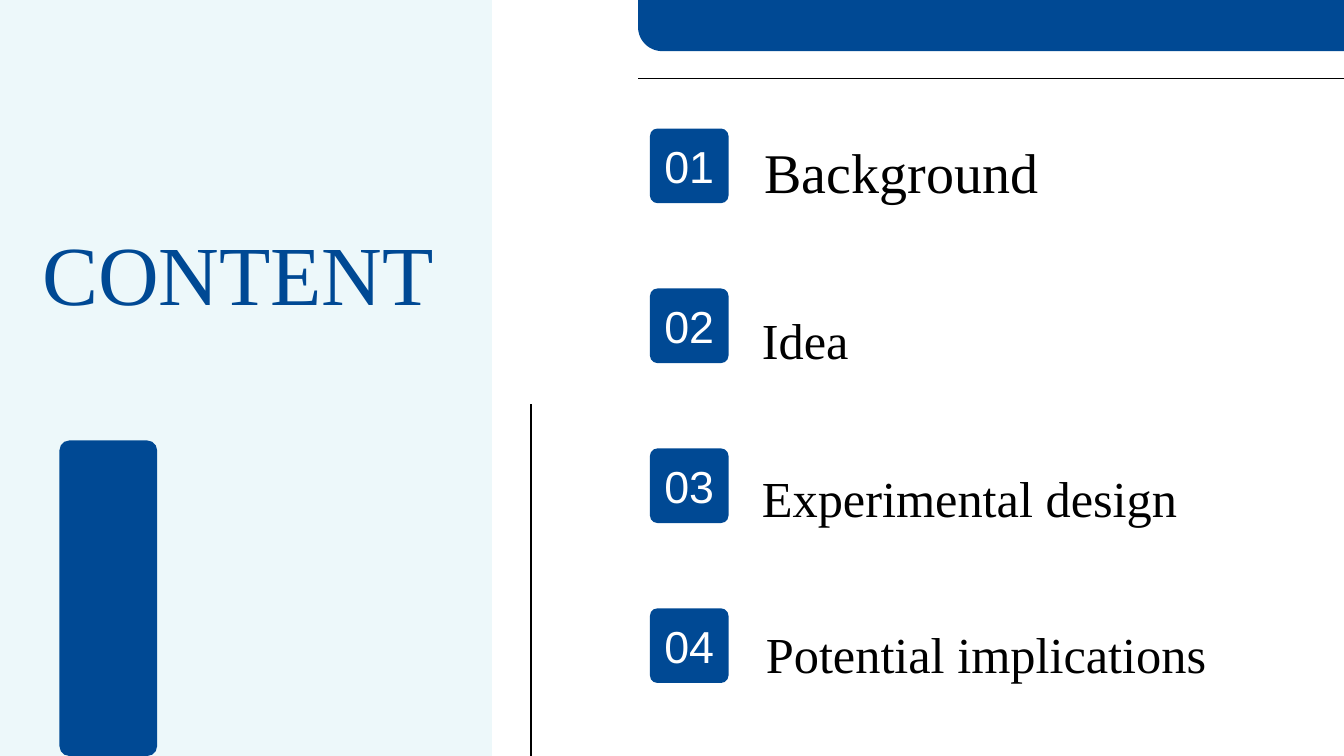
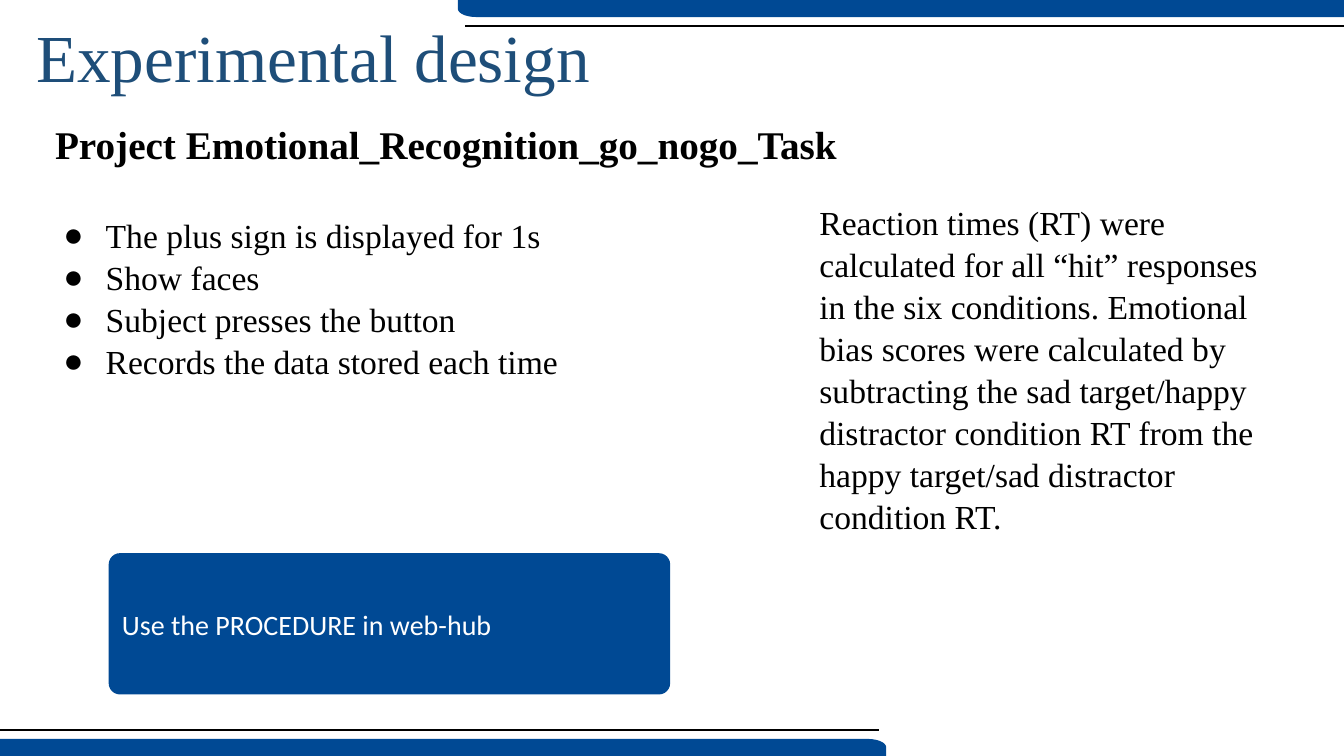
import math
from dataclasses import dataclass
from typing import Optional

from lxml import etree
from pptx import Presentation
from pptx.dml.color import RGBColor
from pptx.enum.shapes import MSO_CONNECTOR, MSO_SHAPE
from pptx.enum.text import MSO_ANCHOR, MSO_AUTO_SIZE, PP_ALIGN
from pptx.oxml.ns import qn
from pptx.util import Cm, Pt

STRAIGHT = MSO_CONNECTOR.STRAIGHT
RECTANGLE = MSO_SHAPE.RECTANGLE
ROUNDED = MSO_SHAPE.ROUNDED_RECTANGLE
TOP, MIDDLE = MSO_ANCHOR.TOP, MSO_ANCHOR.MIDDLE
LEFT, CENTER = PP_ALIGN.LEFT, PP_ALIGN.CENTER
NO_AUTOFIT = MSO_AUTO_SIZE.NONE

NAVY, TITLE_BLUE, PALE = "004994", "1E4E79", "EDF8FA"
BLACK, WHITE = "000000", "FFFFFF"
SERIF, SANS, CALLOUT_FONT = "Times New Roman", "Arial", "Calibri"

SLIDE_WIDTH, SLIDE_HEIGHT = 33.87, 19.05
BODY_SPACING = 1.04
TEXT_INDENT = 1.27
BULLET_HANG = 1.07


@dataclass(frozen=True)
class Box:
    """A rectangle in centimetres."""
    left: float
    top: float
    width: float
    height: float


@dataclass(frozen=True)
class TextStyle:
    size: float
    color: str = BLACK
    font: str = SERIF
    bold: bool = False
    align: PP_ALIGN = LEFT
    line_spacing: Optional[float] = None


@dataclass(frozen=True)
class AgendaItem:
    label: str
    box: Box
    style: TextStyle


LABEL = TextStyle(36)
SPACED_LABEL = TextStyle(36, line_spacing=1.15)
BODY = TextStyle(24, line_spacing=BODY_SPACING)

AGENDA = (
    AgendaItem("Background", Box(19.02, 3.35, 11.2, 2.16), TextStyle(40)),
    AgendaItem("Idea", Box(18.95, 7.44, 11.23, 1.8), SPACED_LABEL),
    AgendaItem("Experimental design", Box(18.95, 11.43, 11.23, 1.8), SPACED_LABEL),
    AgendaItem("Potential implications", Box(19.05, 15.57, 11.68, 1.8), LABEL),
)
FIRST_BADGE = Box(16.38, 3.24, 1.98, 1.88)
BADGE_PITCH = 4.03

STEPS = (
    "The plus sign is displayed for 1s",
    "Show faces",
    "Subject presses the button",
    "Records the data stored each time",
)
REACTION_TIMES = (
    "Reaction times (RT) were calculated for all “hit” responses in the six "
    "conditions. Emotional bias scores were calculated by subtracting the sad "
    "target/happy distractor condition RT from the happy target/sad distractor "
    "condition RT."
)


def rgb(color: str) -> RGBColor:
    return RGBColor.from_string(color)


def lengths(box: Box) -> tuple:
    return Cm(box.left), Cm(box.top), Cm(box.width), Cm(box.height)


def place(shape, box: Box) -> None:
    shape.left, shape.top, shape.width, shape.height = lengths(box)


def paint(shape, color: str) -> None:
    shape.shadow.inherit = False
    shape.fill.solid()
    shape.fill.fore_color.rgb = rgb(color)
    shape.line.fill.background()


def add_block(slide, kind, box: Box, color: str, corner: Optional[float] = None):
    shape = slide.shapes.add_shape(kind, *lengths(box))
    paint(shape, color)
    if corner is not None:
        shape.adjustments[0] = corner
    return shape


def add_band(slide, box: Box, radius_x: float, radius_y: float, rotation: float = 0) -> None:
    """Draw a band whose bottom-left corner is rounded, then turn it."""
    right, bottom = box.left + box.width, box.top + box.height
    points = [(right, box.top), (right, bottom)]
    for degrees in range(0, 91, 6):
        angle = math.radians(degrees)
        points.append((box.left + radius_x * (1 - math.sin(angle)),
                       bottom - radius_y * (1 - math.cos(angle))))
    builder = slide.shapes.build_freeform(Cm(box.left), Cm(box.top))
    builder.add_line_segments([(Cm(x), Cm(y)) for x, y in points], close=True)
    band = builder.convert_to_shape()
    paint(band, NAVY)
    band.rotation = rotation


def add_rule(slide, start: tuple, end: tuple) -> None:
    rule = slide.shapes.add_connector(STRAIGHT, *(Cm(value) for value in start + end))
    rule.line.color.rgb = rgb(BLACK)
    rule.line.width = Pt(1.25)
    etree.SubElement(rule.element.spPr, qn("a:effectLst"))


def write(shape, lines: tuple, style: TextStyle, anchor=TOP) -> None:
    frame = shape.text_frame
    frame.word_wrap = True
    frame.auto_size = NO_AUTOFIT
    frame.vertical_anchor = anchor
    for index, line in enumerate(lines):
        paragraph = frame.paragraphs[0] if index == 0 else frame.add_paragraph()
        paragraph.alignment = style.align
        paragraph.space_before = Pt(0)
        if style.line_spacing:
            paragraph.line_spacing = style.line_spacing
        run = paragraph.add_run()
        run.text = line
        run.font.name = style.font
        run.font.size = Pt(style.size)
        run.font.bold = style.bold
        run.font.color.rgb = rgb(style.color)


def add_text(slide, text: str, box: Box, style: TextStyle):
    text_box = slide.shapes.add_textbox(*lengths(box))
    write(text_box, (text,), style)
    return text_box


def set_title(slide, text: str, box: Box, style: TextStyle) -> None:
    """Fill the title and put it in front of the shapes drawn so far."""
    title = slide.shapes.title
    place(title, box)
    write(title, (text,), style)
    title.element.getparent().append(title.element)


def indent(paragraph, hang: float = 0) -> None:
    properties = paragraph._p.get_or_add_pPr()
    properties.set("marL", str(Cm(TEXT_INDENT)))
    properties.set("indent", str(-Cm(hang)))


def add_bullet(paragraph) -> None:
    indent(paragraph, BULLET_HANG)
    properties = paragraph._p.get_or_add_pPr()
    bullet_color = etree.SubElement(properties, qn("a:buClr"))
    etree.SubElement(bullet_color, qn("a:srgbClr"), val=BLACK)
    etree.SubElement(properties, qn("a:buFont"), typeface=SERIF)
    etree.SubElement(properties, qn("a:buChar"), char="●")


def build_content_slide(presentation) -> None:
    slide = presentation.slides.add_slide(presentation.slide_layouts[5])
    add_block(slide, RECTANGLE, Box(0, 0, 12.4, SLIDE_HEIGHT), PALE)
    add_band(slide, Box(16.08, 0, SLIDE_WIDTH - 16.08, 1.29), 0.61, 0.61)
    add_block(slide, ROUNDED, Box(1.5, 11.1, 2.46, 7.95), NAVY, 0.1)
    set_title(slide, "CONTENT", Box(0.81, 5.46, 11.58, 4.06), TextStyle(60, NAVY))
    add_rule(slide, (16.08, 1.98), (SLIDE_WIDTH, 1.98))
    add_rule(slide, (13.39, 10.19), (13.39, SLIDE_HEIGHT))

    number_style = TextStyle(32, WHITE, SANS, align=CENTER)
    for index, item in enumerate(AGENDA):
        badge_box = Box(FIRST_BADGE.left, FIRST_BADGE.top + index * BADGE_PITCH,
                        FIRST_BADGE.width, FIRST_BADGE.height)
        badge = add_block(slide, ROUNDED, badge_box, NAVY, 0.1)
        frame = badge.text_frame
        frame.margin_left = frame.margin_right = Cm(0)
        write(badge, (f"{index + 1:02d}",), number_style, MIDDLE)
        add_text(slide, item.label, item.box, item.style)


def build_design_slide(presentation) -> None:
    slide = presentation.slides.add_slide(presentation.slide_layouts[1])
    band_width, band_height, rule_gap = 22.33, 0.43, 0.66
    rule_length = 22.14
    header = Box(SLIDE_WIDTH - band_width, 0, band_width, band_height)
    footer = Box(0, SLIDE_HEIGHT - band_height, band_width, band_height)
    for box, rotation in ((header, 0), (footer, 180)):
        add_band(slide, box, 0.46, 0.21, rotation)
    add_rule(slide, (SLIDE_WIDTH - rule_length, rule_gap), (SLIDE_WIDTH, rule_gap))
    add_rule(slide, (rule_length, SLIDE_HEIGHT - rule_gap), (0, SLIDE_HEIGHT - rule_gap))

    set_title(slide, "Experimental design", Box(0.66, 0.25, 17.09, 2.31),
              TextStyle(48, TITLE_BLUE))
    add_text(slide, "Project Emotional_Recognition_go_nogo_Task",
             Box(1.14, 2.9, 22.3, 1.96), TextStyle(28, bold=True))

    steps = slide.placeholders[1]
    place(steps, Box(1.14, 5.26, 32.23, 10.08))
    write(steps, STEPS, BODY)
    for paragraph in steps.text_frame.paragraphs:
        add_bullet(paragraph)

    reaction_times = add_text(slide, REACTION_TIMES, Box(19.13, 4.93, 12.85, 7.87), BODY)
    indent(reaction_times.text_frame.paragraphs[0])

    callout = add_block(slide, ROUNDED, Box(2.74, 13.94, 14.15, 3.56), NAVY, 0.08)
    write(callout, ("Use the PROCEDURE in web-hub",),
          TextStyle(20, WHITE, CALLOUT_FONT), MIDDLE)


def main() -> None:
    presentation = Presentation()
    presentation.slide_width = Cm(SLIDE_WIDTH)
    presentation.slide_height = Cm(SLIDE_HEIGHT)
    build_content_slide(presentation)
    build_design_slide(presentation)
    presentation.save("out.pptx")


if __name__ == "__main__":
    main()
